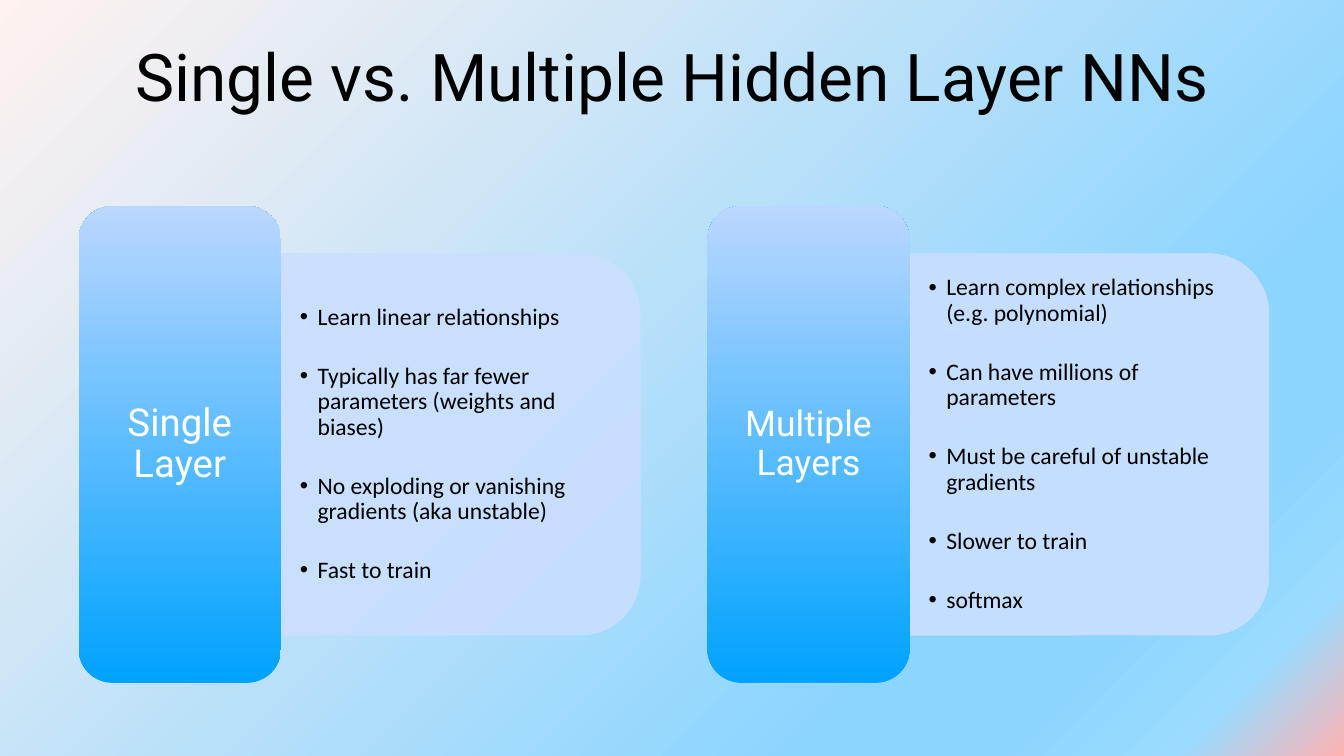
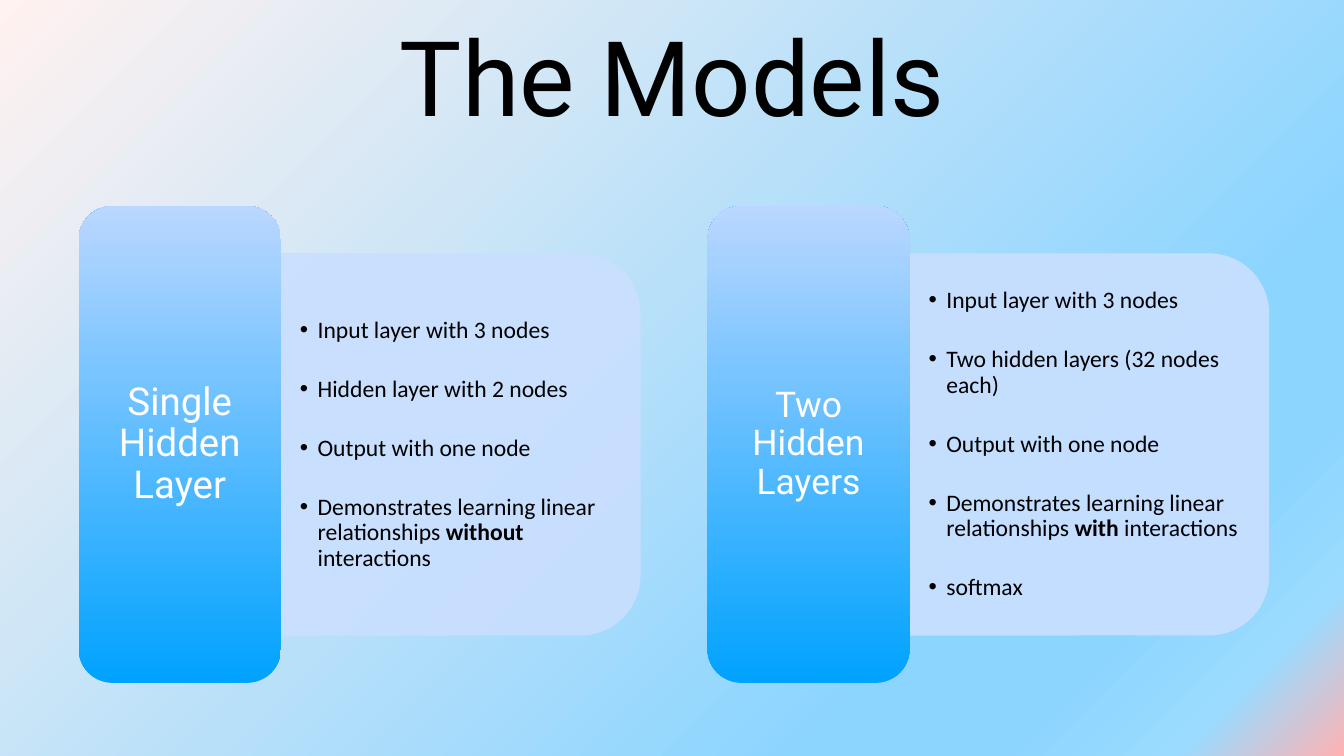
from dataclasses import dataclass

from lxml.etree import SubElement
from pptx import Presentation
from pptx.dml.color import RGBColor
from pptx.enum.shapes import MSO_SHAPE
from pptx.enum.text import MSO_ANCHOR, MSO_AUTO_SIZE, PP_ALIGN
from pptx.oxml.ns import qn
from pptx.util import Pt


@dataclass(frozen=True)
class Theme:
    heading_font: str = "Roboto"
    body_font: str = "Calibri"
    ink: RGBColor = RGBColor.from_string("000000")
    label_ink: RGBColor = RGBColor.from_string("FFFFFF")
    panel: RGBColor = RGBColor.from_string("CADFFF")
    panel_opacity: int = 90
    pillar: tuple = ((0, "00A2FF"), (100, "BAD7FF"))
    backdrop: tuple = ((0, "FFF2F0"), (74, "8CD5FF"), (83, "8CD5FF"),
                       (92, "9BDBFF"), (100, "FFB2B2"))
    bullet_size: float = 24
    label_sizes: tuple = (39, 36)


theme = Theme()

# Layout measures in points
SLIDE_W, SLIDE_H = 1365.1, 768.2
COLUMN_LEFT, COLUMN_PITCH, MIDDLE = 80, 638.6, 451.6
PILLAR_W, PILLAR_H = 205.2, 484.6
PANEL_W, PANEL_H = 365, 387.6
LIST_OFFSET, LIST_W, LIST_H = 214.6, 347, 301.7
LINE_SPACING, BULLET_INDENT, FIRST_GAP, BULLET_GAP = 0.9, 18, 4, 34

# Each slide: title, title size, then a label and bullets per column; ** marks bold
CONTENT = [
    ("Single vs. Multiple Hidden Layer NNs", 66.8, [
        ("Single Layer", [
            "Learn linear relationships",
            "Typically has far fewer parameters (weights and biases)",
            "No exploding or vanishing gradients (aka unstable)",
            "Fast to train"]),
        ("Multiple Layers", [
            "Learn complex relationships (e.g. polynomial)",
            "Can have millions of parameters",
            "Must be careful of unstable gradients",
            "Slower to train",
            "softmax"]),
    ]),
    ("The Models", 106, [
        ("Single Hidden Layer", [
            "Input layer with 3 nodes",
            "Hidden layer with 2 nodes",
            "Output with one node",
            "Demonstrates learning linear relationships **without** interactions"]),
        ("Two Hidden Layers", [
            "Input layer with 3 nodes",
            "Two hidden layers (32 nodes each)",
            "Output with one node",
            "Demonstrates learning linear relationships **with** interactions",
            "softmax"]),
    ]),
]


def paint_gradient(fill, owner, stops, angle):
    """Give fill, which lies inside the XML element owner, the (percent, colour) stops."""
    fill.gradient()
    fill.gradient_angle = angle
    stop_list = next(owner.iter(qn("a:gsLst")))
    for old_stop in list(stop_list):
        stop_list.remove(old_stop)
    for percent, colour in stops:
        stop = SubElement(stop_list, qn("a:gs"), pos=str(percent * 1000))
        SubElement(stop, qn("a:srgbClr"), val=colour)


def write_runs(paragraph, text, font_name, size, colour):
    """Fill the paragraph, setting every second **-separated part in bold."""
    for index, part in enumerate(text.split("**")):
        run = paragraph.add_run()
        run.text = part
        run.font.color.rgb = colour
        looks = {"name": font_name, "size": Pt(size), "bold": index % 2 == 1}
        for attribute, value in looks.items():
            setattr(run.font, attribute, value)


deck = Presentation()
deck.slide_width, deck.slide_height = Pt(SLIDE_W), Pt(SLIDE_H)
master = deck.slide_master
paint_gradient(master.background.fill, master.element, theme.backdrop, 315)

# Two Content layout: the title and both lists get their places once
two_lists = deck.slide_layouts[3]
places = {0: (100, -8.6, 1165.7, 170)}
for column in range(2):
    places[column + 1] = (COLUMN_LEFT + column * COLUMN_PITCH + LIST_OFFSET,
                          MIDDLE - LIST_H / 2, LIST_W, LIST_H)
for holder in two_lists.placeholders:
    if holder.placeholder_format.idx in places:
        place = places[holder.placeholder_format.idx]
        for attribute, value in zip(("left", "top", "width", "height"), place):
            setattr(holder, attribute, Pt(value))

for title_text, title_size, columns in CONTENT:
    slide = deck.slides.add_slide(two_lists)
    title = slide.shapes.title
    heading = title.text_frame.paragraphs[0]
    heading.alignment = PP_ALIGN.CENTER
    write_runs(heading, title_text, theme.heading_font, title_size, theme.ink)
    frames = [(title.text_frame, 4.5)]

    for column, (label_text, bullets) in enumerate(columns):
        left = COLUMN_LEFT + column * COLUMN_PITCH

        # A quarter turn brings the two rounded corners to the right side
        panel = slide.shapes.add_shape(
            MSO_SHAPE.ROUND_2_SAME_RECTANGLE,
            Pt(left + PILLAR_W + (PANEL_W - PANEL_H) / 2), Pt(MIDDLE - PANEL_W / 2),
            Pt(PANEL_H), Pt(PANEL_W))
        panel.rotation = 90
        panel.shadow.inherit = False
        panel.fill.solid()
        panel.fill.fore_color.rgb = theme.panel
        panel.line.color.rgb = theme.panel
        panel.line.width = Pt(0.75)
        for colour in panel.element.spPr.iter(qn("a:srgbClr")):
            SubElement(colour, qn("a:alpha"), val=str(theme.panel_opacity * 1000))

        pillar = slide.shapes.add_shape(
            MSO_SHAPE.ROUNDED_RECTANGLE, Pt(left), Pt(MIDDLE - PILLAR_H / 2),
            Pt(PILLAR_W), Pt(PILLAR_H))
        pillar.shadow.inherit = False
        paint_gradient(pillar.fill, pillar.element, theme.pillar, 90)
        pillar.line.fill.background()
        label = pillar.text_frame.paragraphs[0]
        label.alignment = PP_ALIGN.CENTER
        label.line_spacing = LINE_SPACING
        write_runs(label, label_text, theme.heading_font,
                   theme.label_sizes[column], theme.label_ink)

        traits = slide.placeholders[column + 1]
        traits.element.getparent().append(traits.element)  # in front of its panel
        for index, bullet in enumerate(bullets):
            if index:
                trait = traits.text_frame.add_paragraph()
            else:
                trait = traits.text_frame.paragraphs[0]
            trait.line_spacing = LINE_SPACING
            trait.space_before = Pt(BULLET_GAP if index else FIRST_GAP)
            indents = trait._p.get_or_add_pPr()
            indents.set("marL", str(Pt(BULLET_INDENT)))
            indents.set("indent", str(-Pt(BULLET_INDENT)))
            write_runs(trait, bullet, theme.body_font, theme.bullet_size, theme.ink)
        frames += [(pillar.text_frame, 8), (traits.text_frame, 10)]

    for frame, margin in frames:
        settings = {"word_wrap": True, "auto_size": MSO_AUTO_SIZE.NONE,
                    "vertical_anchor": MSO_ANCHOR.MIDDLE}
        for side in ("left", "top", "right", "bottom"):
            settings["margin_" + side] = Pt(margin)
        for attribute, value in settings.items():
            setattr(frame, attribute, value)

deck.save("out.pptx")
